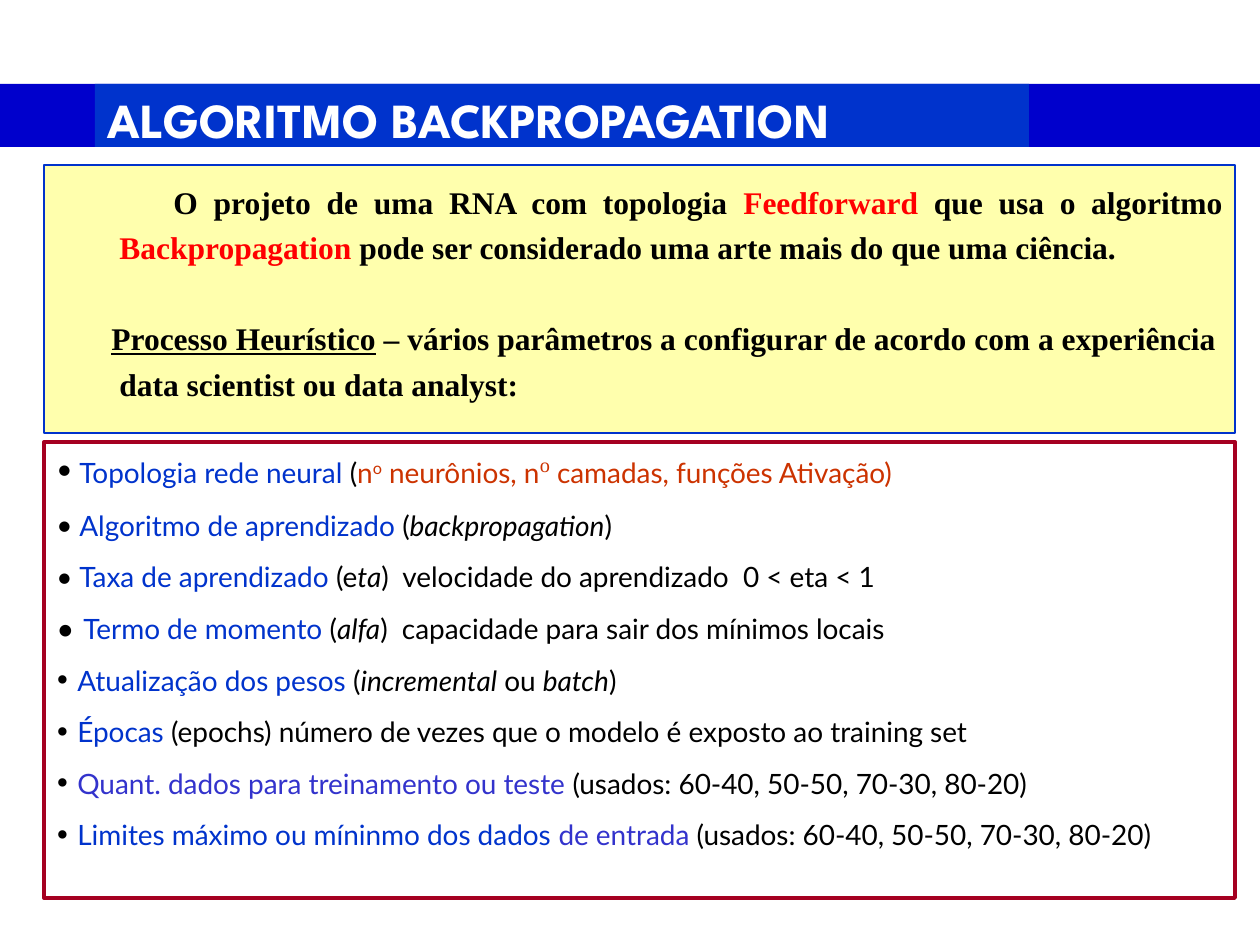
from dataclasses import dataclass

from lxml import etree
from pptx import Presentation
from pptx import util as u
from pptx.dml.color import RGBColor
from pptx.enum import shapes, text
from pptx.oxml.ns import qn

EMU = 914400 // 126  # one px


@dataclass(frozen=True)
class Theme:
    navy: str = "0000CC"
    blue: str = "0033CC"
    violet: str = "3333CC"
    cream: str = "FFFF99"
    wine: str = "A50021"
    rust: str = "CC3300"
    red: str = "FF0000"
    black: str = "000000"
    white: str = "FFFFFF"
    head: str = "League Spartan"
    serif: str = "Times New Roman"
    sans: str = "Lato"
    title: int = 28
    lead: int = 18
    item: int = 16
    sup: int = 20


def px(num):
    return u.Emu(num * EMU)


class Deck:
    def __init__(self, style):
        self.style = style
        self.prs = Presentation()
        self.prs.slide_width, self.prs.slide_height = px(1260), px(945)
        self.slide = self.prs.slides.add_slide(self.prs.slide_layouts[6])

    def box(self, x, y, w, h, fill, line=None, width=1, alpha=None, top=6):
        """Add a filled rectangle and return its text frame."""
        shape = self.slide.shapes.add_shape(
            shapes.MSO_SHAPE.RECTANGLE, px(x), px(y), px(w), px(h))
        shape.shadow.inherit = False
        shape.fill.solid()
        shape.fill.fore_color.rgb = RGBColor.from_string(fill)
        if alpha:
            tone = shape.fill._xPr.find(".//" + qn("a:srgbClr"))
            etree.SubElement(tone, qn("a:alpha"), val=str(alpha * 1000))
        if line:
            shape.line.color.rgb = RGBColor.from_string(line)
            shape.line.width = u.Pt(width)
        else:
            shape.line.fill.background()
        frame = shape.text_frame
        frame.word_wrap = True
        frame.vertical_anchor = text.MSO_ANCHOR.TOP
        frame.margin_top = px(top)
        return frame

    def para(self, frame, first, align=text.PP_ALIGN.LEFT, line=None, gap=0,
             left=0, indent=0):
        para = frame.paragraphs[0] if first else frame.add_paragraph()
        para.alignment = align
        if line:
            para.line_spacing = u.Pt(line)
        if gap and not first:
            para.space_before = u.Pt(gap)
        props = para._p.get_or_add_pPr()
        props.set("marL", str(px(left)))
        props.set("indent", str(px(indent)))
        return para

    def bullet(self, para, face, size):
        props = para._p.get_or_add_pPr()
        tone = etree.SubElement(props, qn("a:buClr"))
        etree.SubElement(tone, qn("a:srgbClr"), val=self.style.black)
        etree.SubElement(props, qn("a:buSzPct"), val=str(size * 1000))
        etree.SubElement(props, qn("a:buFont"), typeface=face)
        etree.SubElement(props, qn("a:buChar"), char="•")

    def run(self, para, words, color, face, size, marks=""):
        """Add one run; marks may hold b, i, u and ^ for superscript."""
        run = para.add_run()
        run.text = words
        font = run.font
        font.name, font.size = face, u.Pt(size)
        font.color.rgb = RGBColor.from_string(color)
        font.bold, font.italic = "b" in marks, "i" in marks
        font.underline = "u" in marks
        if "^" in marks:
            run._r.get_or_add_rPr().set("baseline", "30000")


def main():
    t = Theme()
    deck = Deck(t)

    deck.box(0, 84, 1260, 63, t.navy)
    title = deck.box(95, 84, 934, 63, t.blue)
    deck.run(deck.para(title, True), "ALGORITMO BACKPROPAGATION",
             t.white, t.head, t.title, "b")

    intro = deck.box(44, 165, 1191, 268, t.cream, t.blue, 0.75, 80, top=10)
    leads = [
        (text.PP_ALIGN.JUSTIFY, 54, [
            ("O projeto de uma RNA com topologia ", t.black, "b"),
            ("Feedforward", t.red, "b"),
            (" que usa o algoritmo ", t.black, "b"),
            ("Backpropagation", t.red, "b"),
            (" pode ser considerado uma arte mais do que uma ciência.",
             t.black, "b")]),
        (text.PP_ALIGN.LEFT, -8, [
            ("Processo Heurístico", t.black, "bu"),
            (" – vários parâmetros a configurar de acordo com a experiência "
             "data scientist ou data analyst:", t.black, "b")]),
    ]
    for num, (align, indent, runs) in enumerate(leads):
        para = deck.para(intro, num == 0, align, 26, 26, 63, indent)
        for words, color, marks in runs:
            deck.run(para, words, color, t.serif, t.lead, marks)

    steps = deck.box(44, 442, 1191, 456, t.white, t.wine, 2.25, top=14)
    usual = "(usados: 60-40, 50-50, 70-30, 80-20)"
    plain, large, serif = (t.sans, 100, 23), (t.sans, 112, 27), (t.serif, 125, 21)
    items = [
        (plain, [("Topologia rede neural", t.blue), (" (", t.black),
                 ("n", t.rust), ("o", t.rust, "^"),
                 (" neurônios, n", t.rust),
                 ("o", t.rust, "^", t.serif, t.sup),
                 (" camadas, funções Ativação)", t.rust)]),
        (plain, [("Algoritmo de aprendizado", t.blue), (" (", t.black),
                 ("backpropagation", t.black, "i"), (")", t.black)]),
        (plain, [("Taxa de aprendizado", t.blue), (" (e", t.black),
                 ("ta", t.black, "i"),
                 (")  velocidade do aprendizado  0 < eta < 1", t.black)]),
        (large, [("Termo de momento", t.blue), (" (", t.black),
                 ("alfa", t.black, "i"),
                 (")  capacidade para sair dos mínimos locais", t.black)]),
        (serif, [("Atualização dos pesos ", t.blue), ("(", t.black),
                 ("incremental", t.black, "i"), (" ou ", t.black),
                 ("batch", t.black, "i"), (")", t.black)]),
        (serif, [("Épocas ", t.blue),
                 ("(epochs) número de vezes que o modelo é exposto ao "
                  "training set", t.black)]),
        (serif, [("Quant. dados para treinamento ou teste", t.violet),
                 (" " + usual, t.black)]),
        (serif, [("Limites máximo ou míninmo dos dados ", t.blue),
                 ("de entrada ", t.violet), (usual, t.black)]),
    ]
    for num, ((face, size, left), runs) in enumerate(items):
        para = deck.para(steps, num == 0, line=19.5, gap=10,
                         left=left, indent=-left)
        deck.bullet(para, face, size)
        for words, color, *rest in runs:
            marks, kind, high = rest + ["", t.sans, t.item][len(rest):]
            deck.run(para, words, color, kind, high, marks)

    deck.prs.save("out.pptx")


if __name__ == "__main__":
    main()
